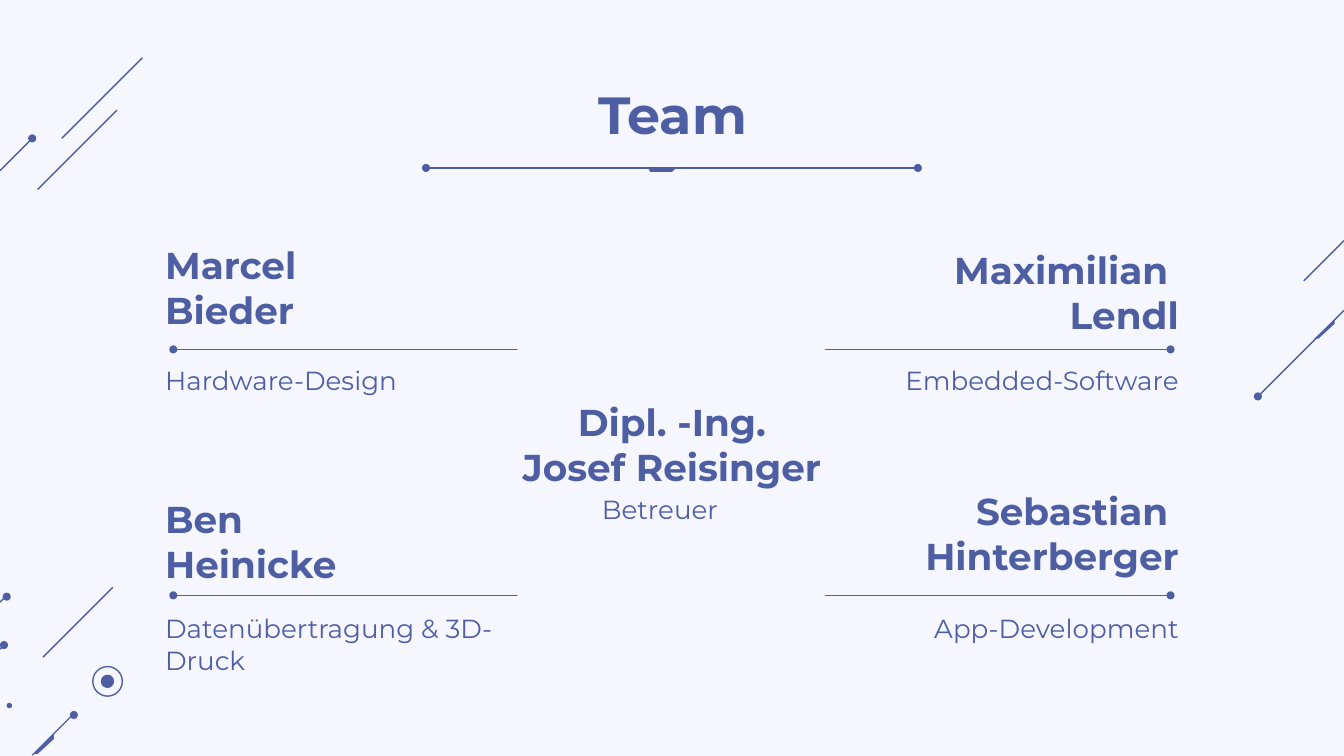
from pptx import Presentation
from pptx.dml.color import RGBColor
from pptx.enum.shapes import MSO_CONNECTOR, MSO_SHAPE
from pptx.enum.text import MSO_ANCHOR, PP_ALIGN
from pptx.oxml.ns import qn
from pptx.util import Emu, Pt
from lxml import etree

PX = 9144  # 100 px to the inch
COLORS = {"ink": "4E5EA3", "paper": "F6F6FF"}
INK = RGBColor.from_string(COLORS["ink"])
PAPER = RGBColor.from_string(COLORS["paper"])
LEFT, CENTER, RIGHT = PP_ALIGN.LEFT, PP_ALIGN.CENTER, PP_ALIGN.RIGHT
TOP = MSO_ANCHOR.TOP
STRAIGHT = MSO_CONNECTOR.STRAIGHT
OVAL, RECTANGLE = MSO_SHAPE.OVAL, MSO_SHAPE.RECTANGLE

prs = Presentation()
prs.slide_width, prs.slide_height = Emu(1000 * PX), Emu(5143500)
slide = prs.slides.add_slide(prs.slide_layouts[5])
slide.background.fill.solid()
slide.background.fill.fore_color.rgb = PAPER
shapes = slide.shapes


def write(text, box, size=14, bold=False, align=LEFT, holder=None):
    left, top, width, height = [Emu(v * PX) for v in box]
    holder = holder or shapes.add_textbox(left, top, width, height)
    holder.left, holder.top, holder.width, holder.height = left, top, width, height
    frame = holder.text_frame
    frame.word_wrap = True
    frame.vertical_anchor = TOP
    frame.margin_left = frame.margin_right = Emu(10 * PX)
    frame.margin_top = frame.margin_bottom = 0
    frame.text = text
    for paragraph in frame.paragraphs:
        paragraph.alignment = align
        paragraph.line_spacing = 1.0
        paragraph.space_before = Pt(0)
        font = paragraph.runs[0].font
        font.name, font.size, font.bold = "Montserrat", Pt(size), bold
        font.color.rgb = INK


# Lines: corner decoration, then the rules under the title and the names
rules = [(320, 680, 125), (132, 868, 260), (132, 868, 443)]
lines = [
    (0, 448, 5, 443), (0, 483, 3, 480), (24, 562, 54, 532), (32, 489, 84, 437),
    (46, 103, 106, 43), (28, 141, 87, 82), (0, 127, 24, 103),
    (936, 295, 1000, 231), (970, 209, 1000, 179),
] + [(start, y, end, y) for start, end, y in rules]
for ends in lines:
    line = shapes.add_connector(STRAIGHT, *[Emu(v * PX) for v in ends])
    line.line.color.rgb = INK
    line.line.width = Pt(0.75)
    etree.SubElement(line._element.spPr, qn("a:effectLst"))

# Dots as centre and diameter: corner decoration, then the rule ends
dots = [(5, 444, 6), (3, 480, 6), (55, 532, 6), (7, 525, 4), (80, 507, 10),
        (24, 103, 6), (936, 295, 6)]
for start, end, y in rules:
    dots += [(start - 3, y, 6), (end + 3, y, 6)]
for x, y, size in dots:
    dot = shapes.add_shape(OVAL, Emu(x * PX - size * PX // 2), Emu(y * PX - size * PX // 2),
                           Emu(size * PX), Emu(size * PX))
    dot.shadow.inherit = False
    dot.fill.solid()
    dot.fill.fore_color.rgb = INK
    dot.line.fill.background()

# Ring around the large dot
ring = shapes.add_shape(OVAL, Emu(69 * PX), Emu(496 * PX), Emu(22 * PX), Emu(22 * PX))
ring.shadow.inherit = False
ring.fill.background()
ring.line.color.rgb = INK
ring.line.width = Pt(0.75)

# Thick accents on two diagonals and under the title
accents = [
    [(25, 561), (40, 546), (40, 550), (28, 561)],
    [(978, 252), (993, 238), (993, 241), (981, 252)],
    [(482, 125), (503, 125), (500, 128), (484, 128)],
]
for corners in accents:
    builder = shapes.build_freeform(*corners[0], scale=PX)
    builder.add_line_segments(corners[1:], close=True)
    accent = builder.convert_to_shape()
    accent.shadow.inherit = False
    accent.fill.solid()
    accent.fill.fore_color.rgb = INK
    accent.line.fill.background()

# Centre panel that interrupts the name rules
panel = shapes.add_shape(RECTANGLE, Emu(385 * PX), Emu(214 * PX), Emu(229 * PX), Emu(309 * PX))
panel.shadow.inherit = False
panel.fill.solid()
panel.fill.fore_color.rgb = PAPER
panel.line.fill.background()

# Title
write("Team", (86, 61, 829, 63), size=28, bold=True, align=CENTER, holder=shapes.title)

# Team members: name, name box, role, role box, alignment
members = [
    ("Marcel\nBieder", (113, 180, 349, 70), "Hardware-Design", (113, 271, 288, 42), LEFT),
    ("Ben\nHeinicke", (113, 369, 349, 63), "Datenübertragung & 3D-Druck", (113, 456, 288, 42), LEFT),
    ("Maximilian \nLendl", (538, 184, 349, 65), "Embedded-Software", (599, 271, 288, 42), RIGHT),
    ("Sebastian \nHinterberger", (519, 363, 368, 69), "App-Development", (599, 456, 288, 42), RIGHT),
]
for name, name_box, role, role_box, side in members:
    write(name, name_box, size=20, bold=True, align=side)
    write(role, role_box, align=side)

# Supervisor
write("Dipl. -Ing.\nJosef Reisinger", (377, 297, 246, 70), size=20, bold=True, align=CENTER)
write("Betreuer", (438, 367, 109, 42))

prs.save("out.pptx")
